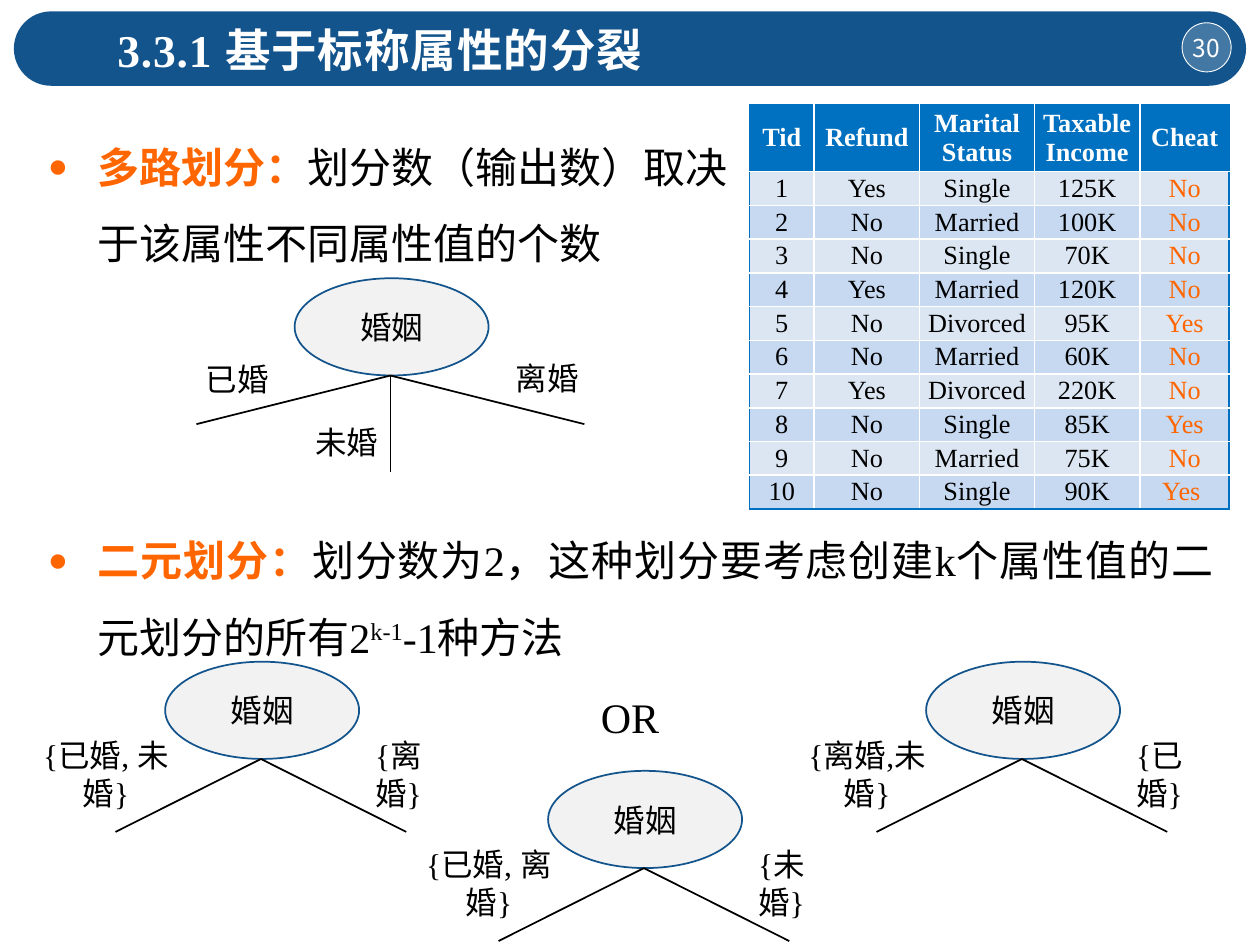
"""Build the slide on splitting by nominal attributes."""
import pptx
import pptx.dml.color
import pptx.enum.shapes
import pptx.enum.text
import pptx.oxml
import pptx.oxml.ns
import pptx.util
from lxml import etree

Cm, Pt = pptx.util.Cm, pptx.util.Pt
Kind = pptx.enum.shapes.MSO_SHAPE
Side = pptx.enum.text.PP_ALIGN
Mid = pptx.enum.text.MSO_ANCHOR.MIDDLE
qn = pptx.oxml.ns.qn


class Theme:
    navy, blue, orange = "13548C", "0070C0", "FF6600"
    white, black, gray = "FFFFFF", "000000", "F2F2F2"
    bands = ["C6D9F1", "DCE6F2"]
    serif, sans = "Times New Roman", "Noto Sans CJK SC"
    title, body, label, cell, page = 26, 24, 18, 15, 14


def rgb(code):
    return pptx.dml.color.RGBColor.from_string(code)


def write(par, text, size=Theme.label, color=Theme.black, bold=False, font=Theme.serif,
          align=Side.CENTER, **extra):
    par.alignment = align
    run = par.add_run()
    run.text = text
    run.font.size, run.font.bold, run.font.name = Pt(size), bold, font
    run.font.color.rgb = rgb(color)
    props = run.font._element
    etree.SubElement(props, qn("a:ea"), typeface=Theme.sans)
    for key, value in extra.items():
        props.set(key, value)


deck = pptx.Presentation()
deck.slide_width, deck.slide_height = Cm(25.4), Cm(19.05)
slide = deck.slides.add_slide(deck.slide_layouts[1])
shapes = slide.shapes

banner = shapes.add_shape(Kind.ROUNDED_RECTANGLE, Cm(0.28), Cm(0.23), Cm(24.84), Cm(1.5))
banner.adjustments[0] = 0.5
banner.shadow.inherit = False
banner.fill.solid()
banner.fill.fore_color.rgb = rgb(Theme.navy)
banner.line.fill.background()

badge = shapes.add_shape(Kind.OVAL, Cm(23.83), Cm(0.46), Cm(0.99), Cm(0.99))
badge.shadow.inherit = False
badge.fill.solid()
badge.fill.fore_color.rgb = rgb(Theme.white)
tint = badge.fill._xPr.find(".//" + qn("a:srgbClr"))
etree.SubElement(tint, qn("a:alpha"), val="21000")
badge.line.color.rgb = rgb(Theme.white)
badge.line.width = Pt(0.5)
frame = badge.text_frame
frame.word_wrap, frame.vertical_anchor = False, Mid
frame.margin_left = frame.margin_right = frame.margin_top = frame.margin_bottom = 0
write(frame.paragraphs[0], "30", size=Theme.page, color=Theme.white, font=Theme.sans)

title = shapes.title
title.left, title.top, title.width, title.height = Cm(2.11), Cm(0.3), Cm(23.01), Cm(1.37)
title.element.getparent().append(title.element)
title.text_frame.auto_size = pptx.enum.text.MSO_AUTO_SIZE.NONE
title.text_frame.vertical_anchor = Mid
write(title.text_frame.paragraphs[0], "3.3.1 基于标称属性的分裂", size=Theme.title,
      color=Theme.white, bold=True, align=Side.LEFT, spc="50")

body = slide.placeholders[1]
body.left, body.top, body.width, body.height = Cm(0.71), Cm(2.2), Cm(24), Cm(11.2)
body.text_frame.auto_size = pptx.enum.text.MSO_AUTO_SIZE.NONE
items = [
    (True, 0, [("多路划分：", {"color": Theme.orange, "bold": True}),
               ("划分数（输出数）取决", {})]),
    (False, 0, [("于该属性不同属性值的个数", {})]),
    (True, 138, [("二元划分：", {"color": Theme.orange, "bold": True}),
                 ("划分数为2，这种划分要考虑创建k个属性值的二元划分的所有2", {}),
                 ("k-1", {"baseline": "30000"}),
                 ("-1种方法", {})]),
]
for index, (dot, gap, runs) in enumerate(items):
    par = body.text_frame.paragraphs[0] if index == 0 else body.text_frame.add_paragraph()
    par.line_spacing, par.space_before = Pt(43.5), Pt(gap)
    props = par._p.get_or_add_pPr()
    props.set("marL", str(Cm(1)))
    props.set("indent", str(-Cm(1) if dot else 0))
    if dot:
        tint = etree.SubElement(props, qn("a:buClr"))
        etree.SubElement(tint, qn("a:srgbClr"), val=Theme.orange)
        etree.SubElement(props, qn("a:buSzPct"), val="80000")
        etree.SubElement(props, qn("a:buChar"), char="●")
    else:
        etree.SubElement(props, qn("a:buNone"))
    for text, style in runs:
        write(par, text, size=Theme.body, align=Side.JUSTIFY, **style)

rows = [
    ["Tid", "Refund", "Marital Status", "Taxable Income", "Cheat"],
    ["1", "Yes", "Single", "125K", "No"],
    ["2", "No", "Married", "100K", "No"],
    ["3", "No", "Single", "70K", "No"],
    ["4", "Yes", "Married", "120K", "No"],
    ["5", "No", "Divorced", "95K", "Yes"],
    ["6", "No", "Married", "60K", "No"],
    ["7", "Yes", "Divorced", "220K", "No"],
    ["8", "No", "Single", "85K", "Yes"],
    ["9", "No", "Married", "75K", "No"],
    ["10", "No", "Single", "90K", "Yes "],
]
widths = [1.3, 2.13, 2.31, 2.13, 1.8]
last, end = len(rows) - 1, len(widths) - 1
table = shapes.add_table(len(rows), len(widths), Cm(15.11), Cm(2.11),
                         Cm(sum(widths)), Cm(8.15)).table
table.horz_banding = False
for col, width in enumerate(widths):
    table.columns[col].width = Cm(width)
for row, texts in enumerate(rows):
    table.rows[row].height = Cm(0.68 if row else 1.35)
    for col, text in enumerate(texts):
        cell = table.cell(row, col)
        cell.vertical_anchor = Mid
        cell.margin_left = cell.margin_right = cell.margin_top = cell.margin_bottom = 0
        edges = {"L": col == 0, "R": col == end, "T": row == 0, "B": row == last}
        for side, outer in edges.items():
            edge = etree.SubElement(cell._tc.get_or_add_tcPr(), qn("a:ln" + side), w="12700")
            fill = etree.SubElement(edge, qn("a:solidFill"))
            etree.SubElement(fill, qn("a:srgbClr"), val=Theme.blue if outer else Theme.white)
        cell.fill.solid()
        cell.fill.fore_color.rgb = rgb(Theme.bands[row % 2] if row else Theme.blue)
        color = Theme.white if row == 0 else Theme.orange if col == end else Theme.black
        write(cell.text_frame.paragraphs[0], text, size=Theme.cell, color=color, bold=row == 0)

three = [(-3.91, 0.98), (0, 1.95), (3.91, 0.98)]
two = [(-2.93, 1.47), (2.93, 1.47)]
trees = [
    (5.94, 5.61, three, [("已婚", -2.06, 1.52, 1.8), ("未婚", 0.15, 2.79, 1.8),
                         ("离婚", 4.19, 1.5, 1.8)]),
    (3.33, 13.34, two, [("{已婚, 未婚}", -3.2, 1.75, 4.01), ("{离婚}", 3.5, 1.75, 2.41)]),
    (11.05, 15.54, two, [("{已婚, 离婚}", -3.2, 1.75, 4.01), ("{未婚}", 3.5, 1.75, 2.41)]),
    (18.67, 13.34, two, [("{离婚,未婚}", -3.12, 1.75, 3.86), ("{已婚}", 3.5, 1.75, 2.41)]),
]
labels = [("OR", 11.86, 13.82, 1.68, 1.27, Theme.body)]
for left, top, ends, tags in trees:
    node = shapes.add_shape(Kind.OVAL, Cm(left), Cm(top), Cm(3.91), Cm(1.96))
    node.shadow.inherit = False
    node.fill.solid()
    node.fill.fore_color.rgb = rgb(Theme.gray)
    node.line.color.rgb = rgb(Theme.navy)
    node.line.width = Pt(1)
    node.text_frame.word_wrap, node.text_frame.vertical_anchor = False, Mid
    write(node.text_frame.paragraphs[0], "婚姻")
    x, y = left + 1.93, top + 1.96
    for across, down in ends:
        branch = shapes.add_connector(pptx.enum.shapes.MSO_CONNECTOR.STRAIGHT,
                                      Cm(x), Cm(y), Cm(x + across), Cm(y + down))
        branch.line.color.rgb = rgb(Theme.black)
        branch.line.width = Pt(1)
        etree.SubElement(branch._element.spPr, qn("a:effectLst"))
    labels += [(text, left + across, top + down, width, 1.02, Theme.label)
               for text, across, down, width in tags]

for text, left, top, width, height, size in labels:
    frame = shapes.add_textbox(Cm(left), Cm(top), Cm(width), Cm(height)).text_frame
    frame.word_wrap, frame.vertical_anchor = text.startswith("{"), Mid
    frame.margin_left = frame.margin_right = Cm(0.35 if frame.word_wrap else 0.25)
    frame.paragraphs[0].line_spacing = Pt(size * 1.2)
    write(frame.paragraphs[0], text, size=size)

deck.save("out.pptx")
